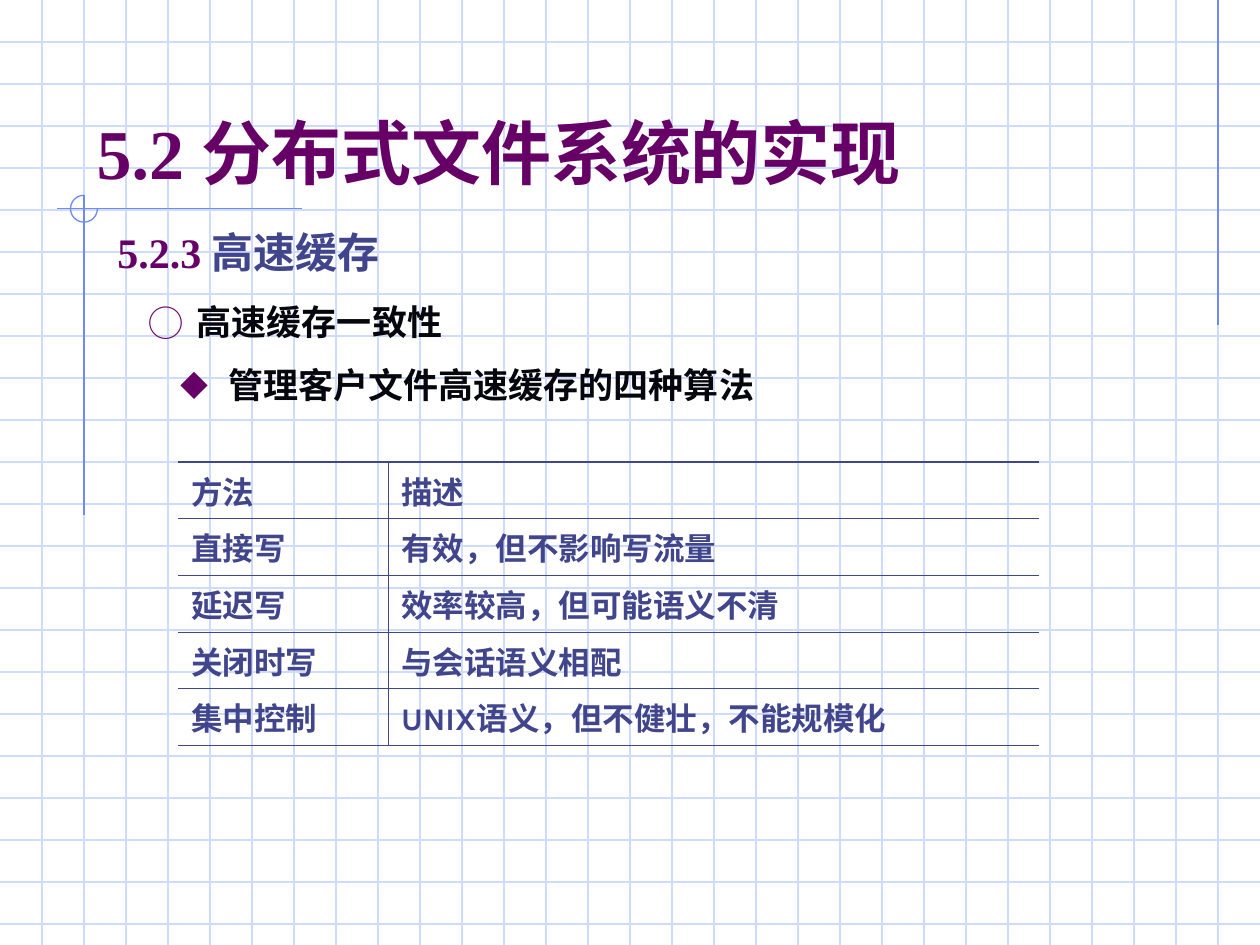
from dataclasses import dataclass

from lxml import etree
from pptx import Presentation
from pptx.dml.color import RGBColor
from pptx.enum.shapes import MSO_CONNECTOR, MSO_SHAPE
from pptx.enum.text import MSO_ANCHOR, MSO_AUTO_SIZE, PP_ALIGN
from pptx.oxml.ns import qn
from pptx.util import Inches, Pt

LINE = MSO_CONNECTOR.STRAIGHT
ARC = MSO_SHAPE.ARC
LEFT = PP_ALIGN.LEFT
TOP, MIDDLE, BOTTOM = MSO_ANCHOR.TOP, MSO_ANCHOR.MIDDLE, MSO_ANCHOR.BOTTOM
FIXED = MSO_AUTO_SIZE.NONE
PLAIN = "{2D5ABB26-0587-4C30-8999-92F81FD0307C}"

# The background squares are the grid: 30 columns by 22.5 rows
COLS, ROWS = 30, 22.5


@dataclass(frozen=True)
class Theme:
    pale: str = "CFDBFD"
    blue: str = "6F89F7"
    plum: str = "660066"
    navy: str = "40458C"
    ink: str = "06070E"
    serif: str = "Times New Roman"
    sans: str = "Montserrat"
    cell: str = "Karla"
    han: str = "Noto Sans CJK SC"
    title: int = 40
    head: int = 24
    body: int = 20
    small: int = 18
    rule: float = 0.75
    thin: float = 0.45
    thick: float = 1.08
    hang: float = 0.38


def unit(n):
    return Inches(n / 3)


def add(parent, tag, **attrs):
    return etree.SubElement(parent, qn(tag), attrs)


class Page:
    def __init__(self, deck, theme):
        self.theme = theme
        self.slide = deck.slides.add_slide(deck.slide_layouts[5])
        self.shapes = self.slide.shapes

    def rule(self, x1, y1, x2, y2, color):
        line = self.shapes.add_connector(LINE, *map(unit, (x1, y1, x2, y2)))
        line.line.color.rgb = RGBColor.from_string(color)
        line.line.width = Pt(self.theme.rule)
        add(line.element.spPr, "a:effectLst")

    def arc(self, x, y, size, start, end):
        arc = self.shapes.add_shape(ARC, *map(unit, (x, y, size, size)))
        # Angles are stored in 60000ths of a degree, scaled by 100000
        for i, angle in enumerate((start, end)):
            arc.adjustments[i] = angle * 0.6
        arc.shadow.inherit = False
        arc.fill.background()
        arc.line.color.rgb = RGBColor.from_string(self.theme.blue)
        arc.line.width = Pt(self.theme.rule)

    def runs(self, para, parts, size):
        para.alignment = LEFT
        for text, face, color in parts:
            run = para.add_run()
            run.text = text
            font = run.font
            font.size, font.bold, font.name = Pt(size), True, face
            font.color.rgb = RGBColor.from_string(color)
            if face == self.theme.han:
                add(run._r.get_or_add_rPr(), "a:ea", typeface=face)

    def frame(self, shape, anchor):
        frame = shape.text_frame
        frame.word_wrap = True
        frame.auto_size = FIXED
        frame.vertical_anchor = anchor
        return frame.paragraphs[0]

    def title(self, x, y, w, h, parts):
        shape = self.shapes.title
        shape.left, shape.top, shape.width, shape.height = map(unit, (x, y, w, h))
        # Bring the title in front of the grid
        shape.element.getparent().append(shape.element)
        self.runs(self.frame(shape, BOTTOM), parts, self.theme.title)

    def text(self, x, y, w, h, parts, size, mark=None, scale=100):
        box = self.shapes.add_textbox(*map(unit, (x, y, w, h)))
        para = self.frame(box, TOP)
        if mark:
            self.bullet(para, mark, scale)
        self.runs(para, parts, size)

    def bullet(self, para, mark, scale):
        props = para._p.get_or_add_pPr()
        hang = Inches(self.theme.hang)
        props.set("marL", str(hang))
        props.set("indent", str(-hang))
        add(add(props, "a:buClr"), "a:srgbClr", val=self.theme.plum)
        add(props, "a:buSzPct", val=str(scale * 1000))
        add(props, "a:buFont", typeface=self.theme.han)
        add(props, "a:buChar", char=mark)

    def edge(self, cell, side, width):
        props = cell._tc.get_or_add_tcPr()
        line = add(props, f"a:ln{side}", w=str(Pt(width)))
        if width:
            add(add(line, "a:solidFill"), "a:srgbClr", val=self.theme.navy)
        else:
            add(line, "a:noFill")

    def table(self, x, y, widths, high, rows):
        t = self.theme
        last, end = len(rows) - 1, len(widths) - 1
        size = (x, y, sum(widths), high * len(rows))
        frame = self.shapes.add_table(len(rows), len(widths), *map(unit, size))
        for style in frame.element.iter(qn("a:tableStyleId")):
            style.text = PLAIN
        table = frame.table
        table.first_row = table.horz_banding = False
        for c, wide in enumerate(widths):
            table.columns[c].width = unit(wide)
        for r, row in enumerate(rows):
            table.rows[r].height = unit(high)
            for c, text in enumerate(row):
                cell = table.cell(r, c)
                # Open at the outer sides, heavier at top and bottom
                self.edge(cell, "L", t.thin if c else 0)
                self.edge(cell, "R", t.thin if c < end else 0)
                self.edge(cell, "T", t.thin if r else t.thick)
                self.edge(cell, "B", t.thin if r < last else t.thick)
                cell.fill.background()
                cell.vertical_anchor = MIDDLE
                cell.margin_top = cell.margin_bottom = Inches(0.04)
                para = cell.text_frame.paragraphs[0]
                self.runs(para, [(text, t.cell, t.navy)], t.small)


def main():
    deck = Presentation()
    deck.slide_width, deck.slide_height = unit(COLS), unit(ROWS)
    t = Theme()
    page = Page(deck, t)

    # Squared paper
    for y in range(1, int(ROWS) + 1):
        page.rule(0, y, COLS, y, t.pale)
    for x in range(1, COLS):
        page.rule(x, 0, x, ROWS, t.pale)

    # Accent lines and the open circle where they cross
    page.rule(29, 0, 29, 7.75, t.blue)
    page.rule(7.2, 4.97, 1.36, 4.97, t.blue)
    page.rule(2, 4.65, 2, 12.27, t.blue)
    page.arc(1.68, 4.65, 0.64, 0, 270)

    # Title and outline
    page.title(2, 1, 25.5, 3.75, [("5.2 ", t.serif, t.plum),
                                  ("分布式文件系统的实现", t.han, t.plum)])
    page.text(2.5, 5.25, 26.25, 1.5, [("5.2.3 ", t.serif, t.plum),
                                      ("高速缓存", t.sans, t.navy)], t.head)
    page.text(3.25, 7, 24.75, 1.32,
              [("高速缓存一致性", t.serif, t.ink)], t.body, "◯")
    page.text(4, 8.5, 24, 1.32,
              [("管理客户文件高速缓存的四种算法", t.sans, t.ink)], t.body, "◆", 80)

    # Methods
    page.table(4.25, 11, (5, 15.5), 1.35, [
        ("方法", "描述"),
        ("直接写", "有效，但不影响写流量"),
        ("延迟写", "效率较高，但可能语义不清"),
        ("关闭时写", "与会话语义相配"),
        ("集中控制", "UNIX语义，但不健壮，不能规模化"),
    ])

    deck.save("out.pptx")


if __name__ == "__main__":
    main()
